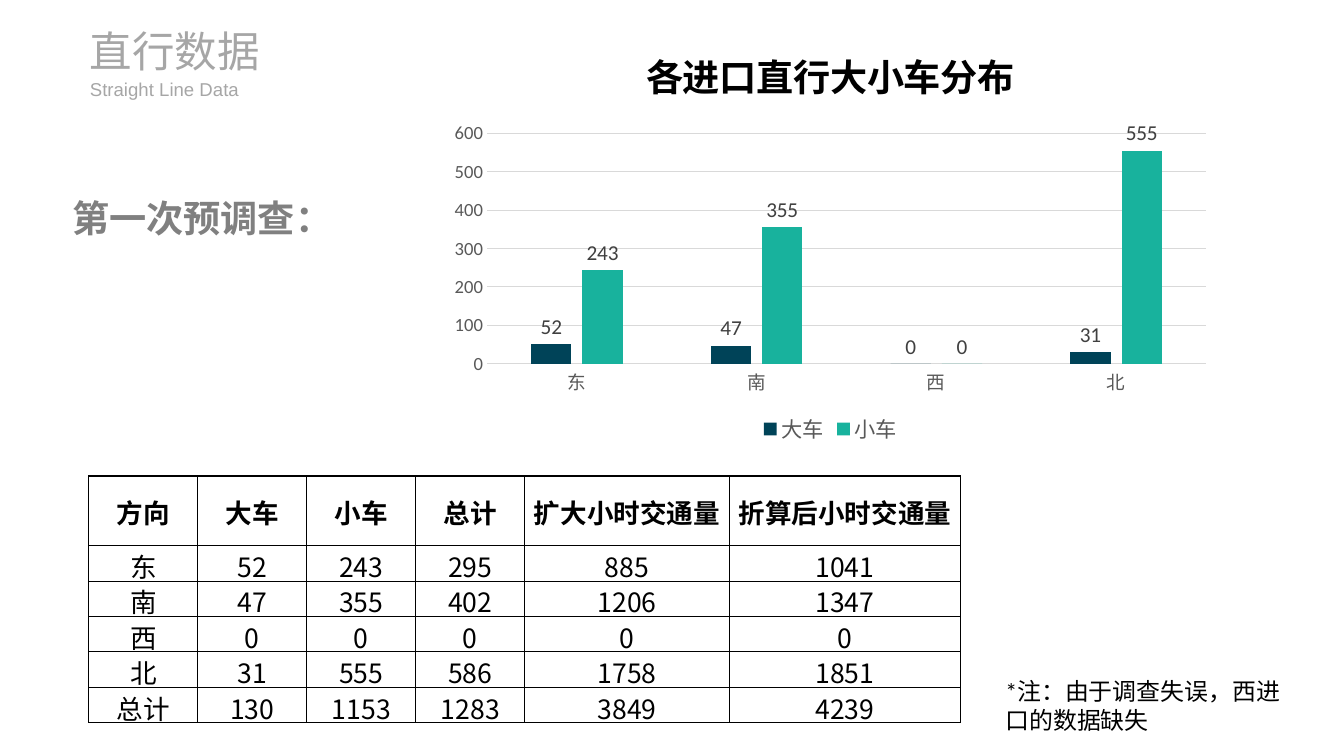
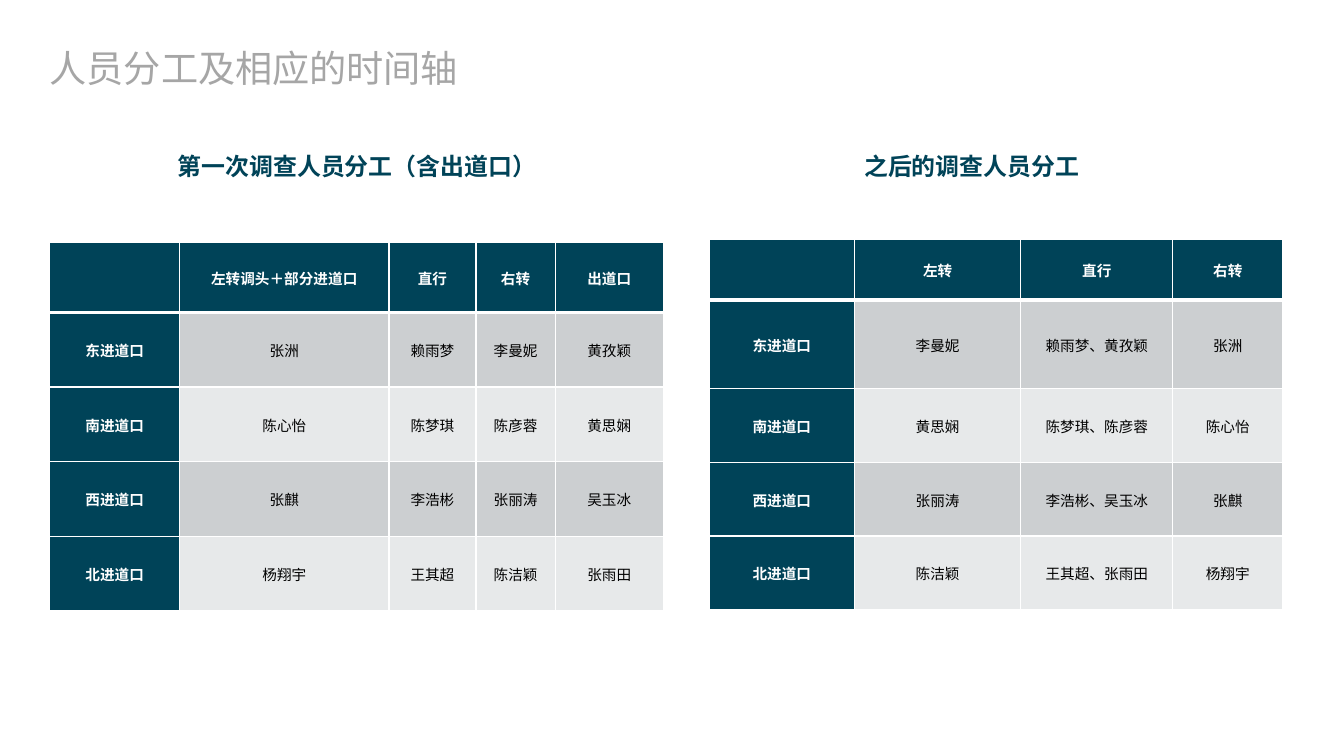
from dataclasses import dataclass
from lxml.etree import SubElement as Sub
from pptx import Presentation
from pptx.chart.data import CategoryChartData as Data
from pptx.dml.color import RGBColor as RGB
from pptx.enum.chart import XL_CHART_TYPE as Kind, XL_LABEL_POSITION as Spot
from pptx.enum.chart import XL_LEGEND_POSITION as Side, XL_TICK_MARK as Tick
from pptx.enum.text import MSO_ANCHOR as Anchor, MSO_AUTO_SIZE as Fit, PP_ALIGN as Align
from pptx.oxml.ns import qn
from pptx.util import Inches, Pt


@dataclass(frozen=True)
class Theme:
    navy: str = "004358"
    teal: str = "18B29D"
    black: str = "000000"
    white: str = "FFFFFF"
    title: str = "A6A6A6"
    head: str = "808080"
    axis: str = "595959"
    label: str = "404040"
    grid: str = "D9D9D9"
    bands: tuple = ("CCCFD1", "E7E9EA")
    sans: str = "Arial"
    body: str = "Calibri"
    cjk: str = "Noto Sans CJK SC"
    huge: int = 32
    large: int = 28
    cell: int = 20
    mid: int = 18
    key: int = 16
    small: int = 14
    tiny: int = 11


T = Theme()
deck = Presentation()
deck.slide_width, deck.slide_height = Inches(14.06), Inches(7.91)
COL, ROW = deck.slide_width / 100, deck.slide_height / 100
blank = deck.slide_layouts[6]


def style(font, size, color, name=T.body, bold=False):
    font.size, font.name, font.bold = Pt(size), name, bold
    font.color.rgb = RGB.from_string(color)


def table(slide, left, top, cols, rows, cells, size, name, filled):
    width, height = sum(cols) * COL, sum(rows) * ROW
    frame = slide.shapes.add_table(len(rows), len(cols), int(left * COL), int(top * ROW),
                                   int(width), int(height))
    grid = frame.table
    grid.horz_banding = False
    for col, share in zip(grid.columns, cols):
        col.width = int(share * COL)
    for row, share in zip(grid.rows, rows):
        row.height = int(share * ROW)
    for r, line in enumerate(cells):
        for c, words in enumerate(line.split("|")):
            cell = grid.cell(r, c)
            cell.text = words
            cell.vertical_anchor = Anchor.MIDDLE
            cell.margin_left = cell.margin_right = cell.margin_top = Inches(0.01)
            cell.margin_bottom = 0
            para = cell.text_frame.paragraphs[0]
            para.alignment = Align.CENTER
            head = r == 0 or (filled and c == 0)
            style(para.font, size, T.white if filled and head else T.black, name, head)
            props = cell._tc.get_or_add_tcPr()
            for edge in "LRTB":
                heavy = filled and (r, edge) in ((0, "B"), (1, "T"))
                ln = Sub(props, qn("a:ln" + edge), w=str(Pt(3 if heavy else 1)))
                paint = Sub(ln, qn("a:solidFill"))
                Sub(paint, qn("a:srgbClr"), val=T.white if filled else T.black)
            if filled:
                cell.fill.solid()
                shade = T.navy if head else T.bands[(r - 1) % 2]
                cell.fill.fore_color.rgb = RGB.from_string(shade)
            else:
                cell.fill.background()


data, staff = [deck.slides.add_slide(blank) for _ in range(2)]

titles = [
    (data, (6.69, 3.29, 30.73, 6.83), "直行数据", T.huge),
    (data, (6.69, 10.24, 21.83, 3.03), "Straight Line Data", T.small),
    (staff, (3.7, 5.94, 30.73, 5.94), "人员分工及相应的时间轴", T.large),
]
notes = [
    (data, (4.69, 25.16, 25.18, 7.21), "第一次预调查：", T.large, T.head, T.sans, True, Align.LEFT),
    (data, (74.11, 88.87, 22.4, 8.98), "*注：由于调查失误，西进口的数据缺失",
     T.mid, T.black, T.body, False, Align.LEFT),
    (staff, (2.77, 19.47, 47.58, 5.06), "第一次调查人员分工（含出道口）",
     T.mid, T.navy, T.body, True, Align.CENTER),
    (staff, (54.41, 19.47, 35.78, 5.06), "之后的调查人员分工",
     T.mid, T.navy, T.body, True, Align.CENTER),
]
plain = [item + (T.title, T.sans, False, Align.LEFT) for item in titles]
for slide, (x, y, w, h), words, size, color, name, bold, align in plain + notes:
    box = slide.shapes.add_textbox(int(x * COL), int(y * ROW), int(w * COL), int(h * ROW))
    frame = box.text_frame
    frame.word_wrap, frame.auto_size = True, Fit.SHAPE_TO_FIT_TEXT
    if color == T.title:
        frame.vertical_anchor = Anchor.MIDDLE
        frame.margin_left = frame.margin_right = frame.margin_top = frame.margin_bottom = 0
    para = frame.paragraphs[0]
    para.text, para.alignment = words, align
    style(para.font, size, color, name, bold)

cars = Data()
cars.categories = ["东", "南", "西", "北"]
cars.add_series("大车", (52, 47, 0, 31))
cars.add_series("小车", (243, 355, 0, 555))
chart = data.shapes.add_chart(Kind.COLUMN_CLUSTERED, int(32.65 * COL), int(3.16 * ROW),
                              int(58.25 * COL), int(56.13 * ROW), cars).chart
style(chart.font, 10, T.black)
chart.has_title = True
para = chart.chart_title.text_frame.paragraphs[0]
para.text = "各进口直行大小车分布"
style(para.font, T.large, T.black, bold=True)
chart.has_legend = True
chart.legend.position = Side.BOTTOM
chart.legend.include_in_layout = False
style(chart.legend.font, T.key, T.axis)
across, up = chart.category_axis, chart.value_axis
for axis in (across, up):
    axis.major_tick_mark = axis.minor_tick_mark = Tick.NONE
    style(axis.tick_labels.font, T.small, T.axis)
up.minimum_scale, up.maximum_scale, up.major_unit = 0, 600, 100
up.has_major_gridlines = True
up.format.line.fill.background()
for line in (across.format.line, up.major_gridlines.format.line):
    line.width = Pt(0.75)
    line.color.rgb = RGB.from_string(T.grid)
plot = chart.plots[0]
plot.gap_width, plot.overlap, plot.vary_by_categories = 219, -27, False
for bar, color in zip(plot.series, (T.navy, T.teal)):
    bar.format.fill.solid()
    bar.format.fill.fore_color.rgb = RGB.from_string(color)
    bar.invert_if_negative = False
    tags = bar.data_labels
    tags.show_value, tags.position = True, Spot.OUTSIDE_END
    style(tags.font, T.key, T.label)

table(data, 6.61, 62.96, [8.11] * 4 + [15.22, 17.21], [9.23] + [4.68] * 5, [
    "方向|大车|小车|总计|扩大小时交通量|折算后小时交通量",
    "东|52|243|295|885|1041",
    "南|47|355|402|1206|1347",
    "西|0|0|0|0|0",
    "北|31|555|586|1758|1851",
    "总计|130|1153|1283|3849|4239",
], T.cell, T.cjk, False)

table(staff, 3.7, 32.11, [9.67, 15.58, 6.47, 5.9, 8.04], [9.23] + [9.86] * 4, [
    "|左转调头＋部分进道口|直行|右转|出道口",
    "东进道口|张洲|赖雨梦|李曼妮|黄孜颖",
    "南进道口|陈心怡|陈梦琪|陈彦蓉|黄思娴",
    "西进道口|张麒|李浩彬|张丽涛|吴玉冰",
    "北进道口|杨翔宇|王其超|陈洁颖|张雨田",
], T.tiny, T.body, True)

table(staff, 52.77, 31.73, [10.81, 12.38, 11.31, 8.18], [7.96, 11.76] + [9.73] * 3, [
    "|左转|直行|右转",
    "东进道口|李曼妮|赖雨梦、黄孜颖|张洲",
    "南进道口|黄思娴|陈梦琪、陈彦蓉|陈心怡",
    "西进道口|张丽涛|李浩彬、吴玉冰|张麒",
    "北进道口|陈洁颖|王其超、张雨田|杨翔宇",
], T.tiny, T.body, True)

deck.save("out.pptx")
